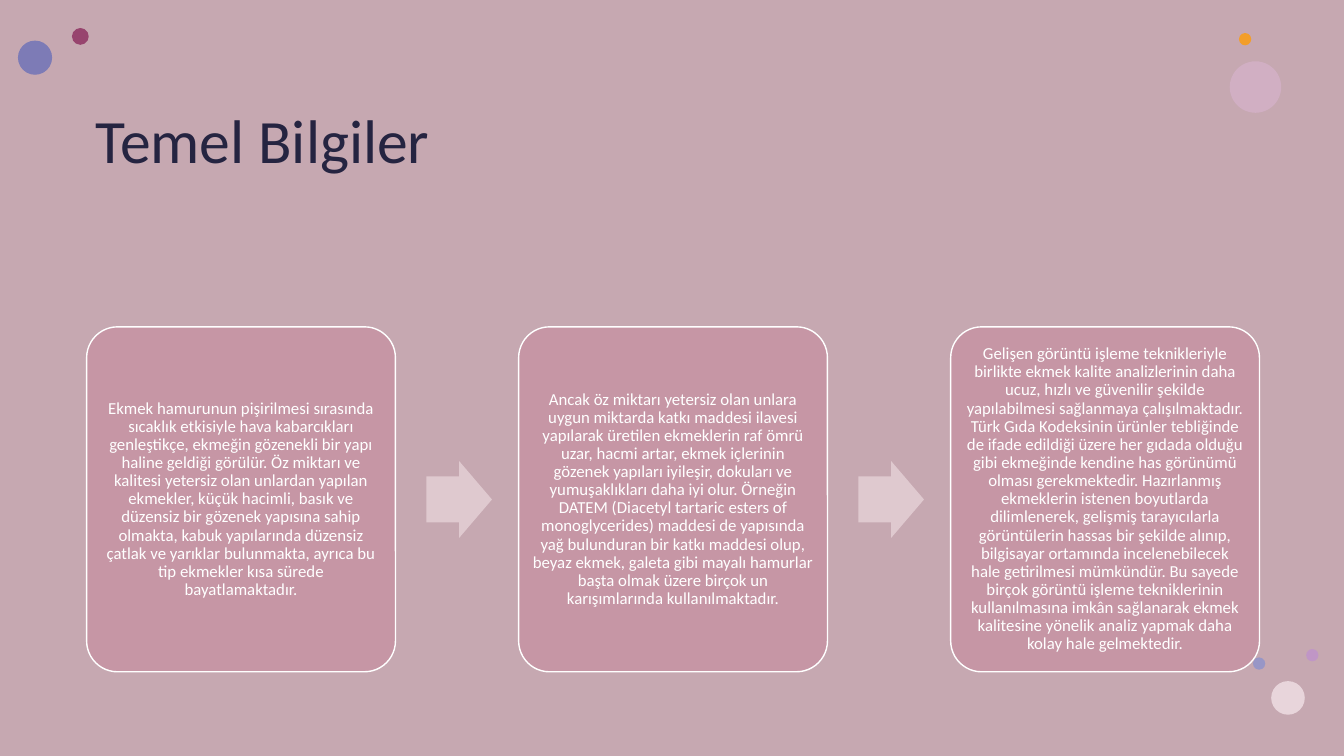
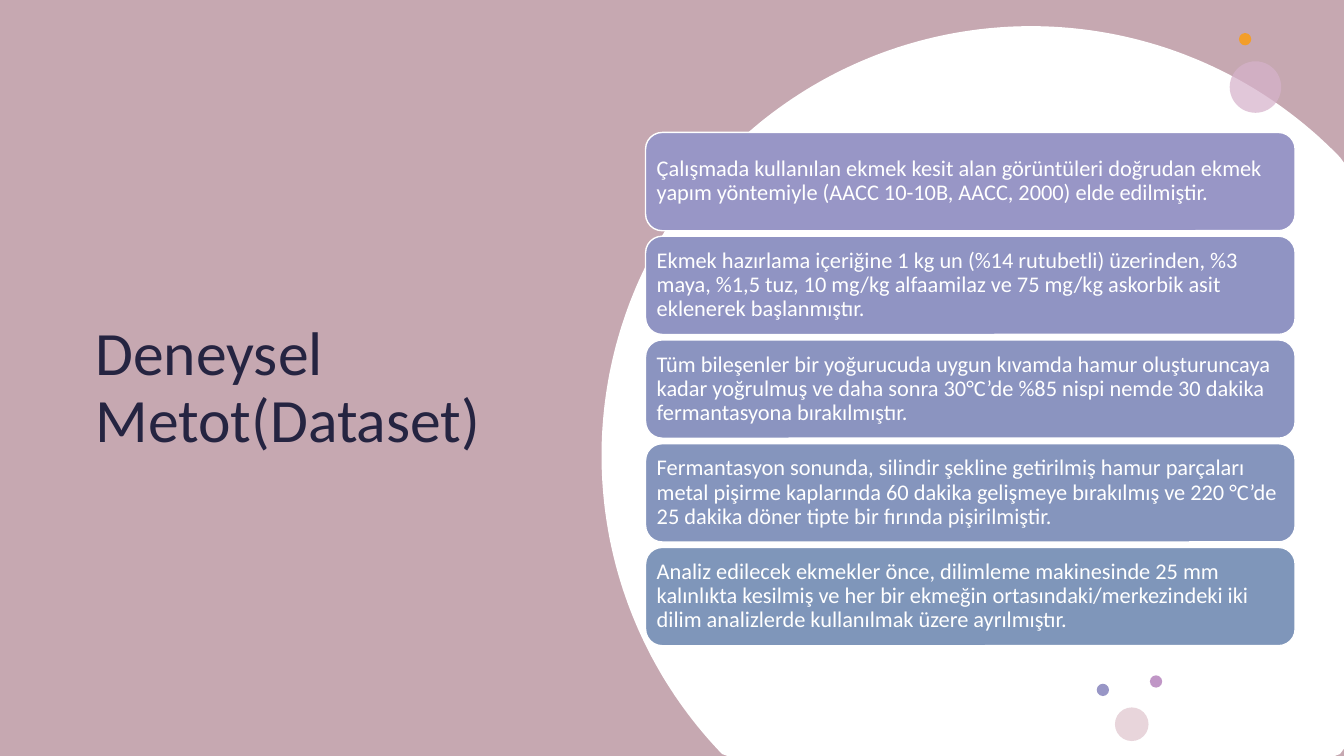
from math import cos, radians, sin

from lxml.etree import SubElement
from pptx import Presentation
from pptx.dml.color import RGBColor
from pptx.enum.shapes import MSO_SHAPE as SHAPE
from pptx.enum.text import MSO_ANCHOR as ANCHOR, MSO_AUTO_SIZE as AUTO, PP_ALIGN as ALIGN
from pptx.oxml.ns import qn
from pptx.util import Pt

W, H = 960, 540
FONT = "Calibri"
NAVY = RGBColor(0x25, 0x24, 0x41)
WHITE = RGBColor(0xFF, 0xFF, 0xFF)
ROSE = RGBColor(0xC6, 0x96, 0xA5)
MIST = RGBColor(0xC8, 0xD4, 0xD0)
PLUM = RGBColor(0x97, 0x44, 0x6E)
PINK = RGBColor(0xD6, 0xB2, 0xCB)
ORANGE = RGBColor(0xF3, 0x9E, 0x29)
INDIGO = RGBColor(0x7D, 0x7B, 0xB6)
ORCHID = RGBColor(0xC0, 0x96, 0xC6)
BLUSH = RGBColor(0xE8, 0xD5, 0xDB)
LAVENDER = RGBColor(0x98, 0x96, 0xC6)
ARROW = RGBColor(0xDF, 0xC9, 0xCF)
BAR_FILLS = [
    LAVENDER,
    RGBColor(0x90, 0x94, 0xC3),
    RGBColor(0x8B, 0x94, 0xC0),
    RGBColor(0x85, 0x95, 0xBD),
    RGBColor(0x7F, 0x96, 0xBA),
]

CARDS = [
    "Ekmek hamurunun pişirilmesi sırasında sıcaklık etkisiyle hava kabarcıkları genleştikçe, "
    "ekmeğin gözenekli bir yapı haline geldiği görülür. Öz miktarı ve kalitesi yetersiz olan "
    "unlardan yapılan ekmekler, küçük hacimli, basık ve düzensiz bir gözenek yapısına sahip "
    "olmakta, kabuk yapılarında düzensiz çatlak ve yarıklar bulunmakta, ayrıca bu tip ekmekler "
    "kısa sürede bayatlamaktadır.",
    "Ancak öz miktarı yetersiz olan unlara uygun miktarda katkı maddesi ilavesi yapılarak "
    "üretilen ekmeklerin raf ömrü uzar, hacmi artar, ekmek içlerinin gözenek yapıları iyileşir, "
    "dokuları ve yumuşaklıkları daha iyi olur. Örneğin DATEM (Diacetyl tartaric esters of "
    "monoglycerides) maddesi de yapısında yağ bulunduran bir katkı maddesi olup, beyaz ekmek, "
    "galeta gibi mayalı hamurlar başta olmak üzere birçok un karışımlarında kullanılmaktadır.",
    "Gelişen görüntü işleme teknikleriyle birlikte ekmek kalite analizlerinin daha ucuz, hızlı "
    "ve güvenilir şekilde yapılabilmesi sağlanmaya çalışılmaktadır. Türk Gıda Kodeksinin ürünler "
    "tebliğinde de ifade edildiği üzere her gıdada olduğu gibi ekmeğinde kendine has görünümü "
    "olması gerekmektedir. Hazırlanmış ekmeklerin istenen boyutlarda dilimlenerek, gelişmiş "
    "tarayıcılarla görüntülerin hassas bir şekilde alınıp, bilgisayar ortamında incelenebilecek "
    "hale getirilmesi mümkündür. Bu sayede birçok görüntü işleme tekniklerinin kullanılmasına "
    "imkân sağlanarak ekmek kalitesine yönelik analiz yapmak daha kolay hale gelmektedir.",
]
BARS = [
    "Çalışmada kullanılan ekmek kesit alan görüntüleri doğrudan ekmek yapım yöntemiyle "
    "(AACC 10-10B, AACC, 2000) elde edilmiştir.",
    "Ekmek hazırlama içeriğine 1 kg un (%14 rutubetli) üzerinden, %3 maya, %1,5 tuz, 10 mg/kg "
    "alfaamilaz ve 75 mg/kg askorbik asit eklenerek başlanmıştır.",
    "Tüm bileşenler bir yoğurucuda uygun kıvamda hamur oluşturuncaya kadar yoğrulmuş ve daha "
    "sonra 30°C’de %85 nispi nemde 30 dakika fermantasyona bırakılmıştır.",
    "Fermantasyon sonunda, silindir şekline getirilmiş hamur parçaları metal pişirme kaplarında "
    "60 dakika gelişmeye bırakılmış ve 220 °C’de 25 dakika döner tipte bir fırında pişirilmiştir.",
    "Analiz edilecek ekmekler önce, dilimleme makinesinde 25 mm kalınlıkta kesilmiş ve her bir "
    "ekmeğin ortasındaki/merkezindeki iki dilim analizlerde kullanılmak üzere ayrılmıştır.",
]

TOP_DOTS = [(878.4, 43.8, 36.8, PINK, 72), (885, 23.6, 8.8, ORANGE, 100)]
LEFT_DOTS = [(51.4, 20, 12, PLUM, 100), (12.8, 29, 24.4, INDIGO, 100)]
BOTTOM_DOTS = [
    (933, 463.6, 8.8, ORCHID, 100),
    (908, 486.5, 24, BLUSH, 100),
    (895, 469.6, 8.8, LAVENDER, 100),
]


def add_flat(s, kind, x, y, w, h, color, alpha=100):
    sp = s.shapes.add_shape(kind, Pt(x), Pt(y), Pt(w), Pt(h))
    sp.shadow.inherit = False
    sp.fill.solid()
    sp.fill.fore_color.rgb = color
    sp.line.fill.background()
    if alpha < 100:
        clr = sp.element.find(".//" + qn("a:srgbClr"))
        SubElement(clr, qn("a:alpha")).set("val", str(alpha * 1000))
    return sp


def add_card(s, x, y, w, h, color, radius, text, size, align, inset, after):
    sp = add_flat(s, SHAPE.ROUNDED_RECTANGLE, x, y, w, h, color)
    sp.adjustments[0] = radius
    sp.line.color.rgb = WHITE
    sp.line.width = Pt(1)
    tf = sp.text_frame
    tf.word_wrap = True
    tf.vertical_anchor = ANCHOR.MIDDLE
    tf.margin_left = tf.margin_right = tf.margin_top = tf.margin_bottom = Pt(inset)
    p = tf.paragraphs[0]
    p.alignment = align
    p.line_spacing = 0.9
    p.space_after = Pt(after)
    r = p.add_run()
    r.text = text
    r.font.name = FONT
    r.font.size = Pt(size)
    r.font.color.rgb = WHITE


prs = Presentation()
prs.slide_width, prs.slide_height = Pt(W), Pt(H)

slides = []
for text, w, h, anchor in [
    ("Temel Bilgiler", 848, 142, ANCHOR.TOP),
    ("Deneysel Metot(Dataset)", 363, 406, ANCHOR.MIDDLE),
]:
    s = prs.slides.add_slide(prs.slide_layouts[5])
    add_flat(s, SHAPE.RECTANGLE, 0, 0, W, H, ROSE)
    add_flat(s, SHAPE.RECTANGLE, 0, 0, W, H, MIST, 30)
    title = s.shapes.title
    title.element.getparent().append(title.element)
    title.left, title.top, title.width, title.height = Pt(61), Pt(75), Pt(w), Pt(h)
    tf = title.text_frame
    tf.word_wrap = True
    tf.auto_size = AUTO.NONE
    tf.vertical_anchor = anchor
    p = tf.paragraphs[0]
    p.alignment = ALIGN.LEFT
    p.line_spacing = 0.9
    r = p.add_run()
    r.text = text
    r.font.name = FONT
    r.font.size = Pt(44)
    r.font.color.rgb = NAVY
    slides.append(s)
basics, method = slides

cx, cy, radius = 736.5, 325.5, 306.8
arc = []
for deg in range(360):
    x = cx + radius * cos(radians(deg))
    y = cy + radius * sin(radians(deg))
    arc.append((Pt(min(x, W)), Pt(min(y, H))))
fb = method.shapes.build_freeform(*arc[0])
fb.add_line_segments(arc[1:], close=True)
disc = fb.convert_to_shape()
disc.shadow.inherit = False
disc.fill.solid()
disc.fill.fore_color.rgb = WHITE
disc.line.fill.background()

for s, dots, dx, dy in [
    (basics, LEFT_DOTS + TOP_DOTS + BOTTOM_DOTS, 0, 0),
    (method, TOP_DOTS, 0, 0),
    (method, BOTTOM_DOTS, -111.6, 18.8),
]:
    for x, y, d, color, alpha in dots:
        add_flat(s, SHAPE.OVAL, x + dx, y + dy, d, d, color, alpha)

card_step = 308.6
for i, text in enumerate(CARDS):
    add_card(basics, 61.9 + i * card_step, 233.5, 220.6, 246.4, ROSE, 0.1,
             text, 12, ALIGN.CENTER, 3.6, 5)
    if i < len(CARDS) - 1:
        arrow = add_flat(basics, SHAPE.RIGHT_ARROW, 304.6 + i * card_step, 329.4, 46.8, 54.8, ARROW)
        arrow.adjustments[0] = 0.6
        arrow.adjustments[1] = 0.5

for i, (text, color) in enumerate(zip(BARS, BAR_FILLS)):
    add_card(method, 461.1, 94.6 + i * 74.1, 464, 70.2, color, 0.17,
             text, 16, ALIGN.LEFT, 4.5, 7)

prs.save("out.pptx")
